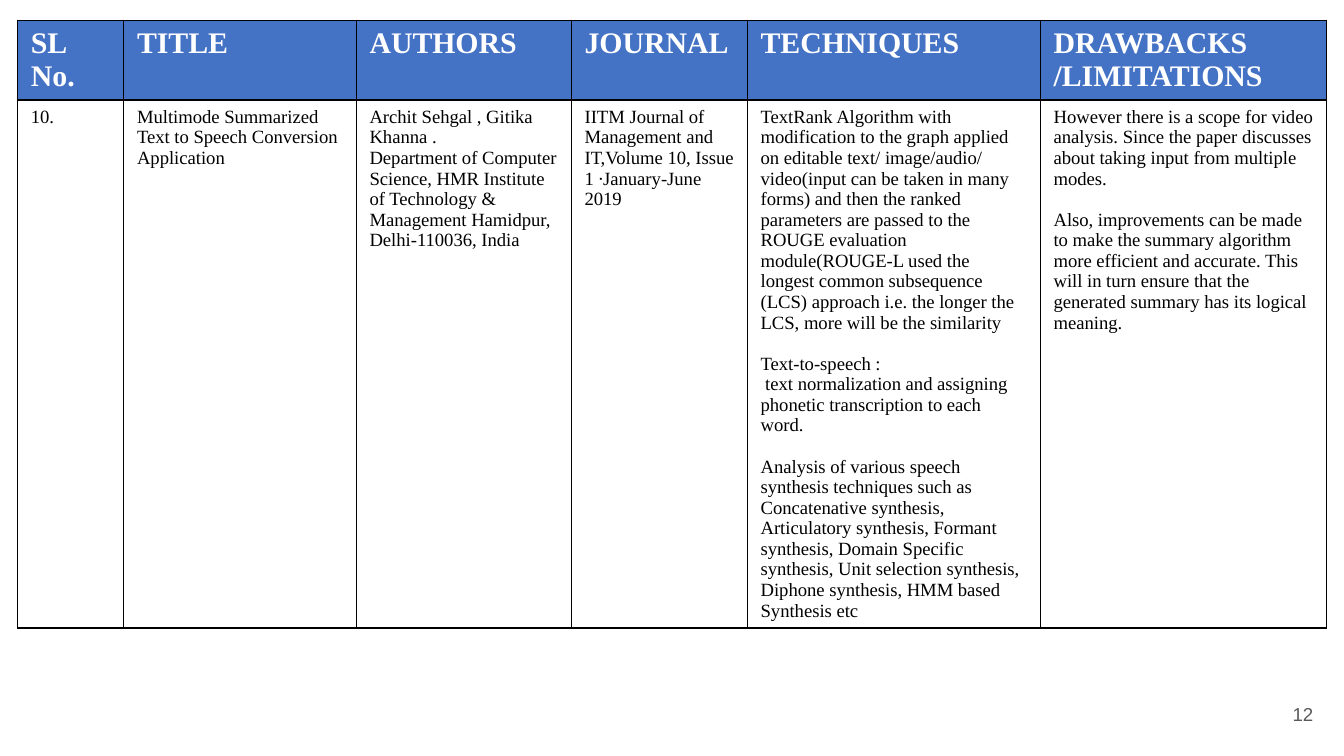
from lxml.etree import SubElement
from pptx import Presentation
from pptx.dml.color import RGBColor
from pptx.enum.text import MSO_ANCHOR, PP_ALIGN
from pptx.oxml.ns import qn
from pptx.util import Inches, Pt

COLUMN_WIDTHS = [0.79, 1.73, 1.6, 1.31, 2.18, 2.13]
ROW_HEIGHT = 0.41  # minimum; rows grow with their text

HEADINGS = ["SL No.", "TITLE", "AUTHORS", "JOURNAL", "TECHNIQUES",
            "DRAWBACKS /LIMITATIONS"]

# Each cell is a list of blocks, set apart by a gap; lines split a block
PAPER = [
    ["10."],
    ["Multimode Summarized Text to Speech Conversion Application"],
    ["Archit Sehgal , Gitika Khanna .\n"
     "Department of Computer Science, HMR Institute of Technology & "
     "Management Hamidpur, Delhi-110036, India"],
    ["IITM Journal of Management and IT,Volume 10, Issue 1 "
     "∙January-June 2019"],
    ["TextRank Algorithm with modification to the graph applied on editable "
     "text/ image/audio/ video(input can be taken in many forms) and then "
     "the ranked parameters are passed to the ROUGE evaluation "
     "module(ROUGE-L used the longest common subsequence (LCS) approach "
     "i.e. the longer the LCS, more will be the similarity",
     "Text-to-speech :\n"
     " text normalization and assigning phonetic transcription to each word.",
     "Analysis of various speech synthesis techniques such as Concatenative "
     "synthesis, Articulatory synthesis, Formant synthesis, Domain Specific "
     "synthesis, Unit selection synthesis, Diphone synthesis, HMM based "
     "Synthesis etc"],
    ["However there is a scope for video analysis. Since the paper discusses "
     "about taking input from multiple modes.",
     "Also, improvements can be made to make the summary algorithm more "
     "efficient and accurate. This will in turn ensure that the generated "
     "summary has its logical meaning."],
]


def color(value):
    return RGBColor.from_string(value)


class SurveySlide:
    table_font = "Times New Roman"
    number_font = "Arial"
    black, white, blue, grey = "000000", "FFFFFF", "4472C4", "595959"
    block_gap = 11

    def __init__(self, deck):
        self.page = deck.slides.add_slide(deck.slide_layouts[6])

    def format_runs(self, para, font, size, fill, bold=False):
        for span in para.runs:
            span.font.name = font
            span.font.size = Pt(size)
            span.font.bold = bold
            span.font.color.rgb = color(fill)

    def borders(self, cell):
        properties = cell._tc.get_or_add_tcPr()
        for side in ("lnL", "lnR", "lnT", "lnB"):
            line = SubElement(properties, qn(f"a:{side}"), w=str(Pt(0.75)))
            fill = SubElement(line, qn("a:solidFill"))
            SubElement(fill, qn("a:srgbClr"), val=self.black)

    def cell(self, cell, blocks, size, text_color, fill, bold):
        self.borders(cell)
        cell.fill.solid()
        cell.fill.fore_color.rgb = color(fill)
        cell.text_frame.text = "\n".join(blocks)
        paras = iter(cell.text_frame.paragraphs)
        for block_index, block in enumerate(blocks):
            for line_index, _ in enumerate(block.split("\n")):
                para = next(paras)
                if block_index and line_index == 0:
                    para.space_before = Pt(self.block_gap)
                self.format_runs(para, self.table_font, size, text_color, bold)

    def table(self, left, top, headings, paper):
        table = self.page.shapes.add_table(
            2, len(headings), Inches(left), Inches(top),
            Inches(sum(COLUMN_WIDTHS)), Inches(2 * ROW_HEIGHT)).table
        table.first_row = table.horz_banding = False
        for column, width in zip(table.columns, COLUMN_WIDTHS):
            column.width = Inches(width)
        for index, (heading, blocks) in enumerate(zip(headings, paper)):
            self.cell(table.cell(0, index), [heading], 16,
                      self.white, self.blue, True)
            self.cell(table.cell(1, index), blocks, 10,
                      self.black, self.white, False)

    def page_number(self, text, left, top, width, height):
        box = self.page.shapes.add_textbox(
            Inches(left), Inches(top), Inches(width), Inches(height))
        frame = box.text_frame
        frame.word_wrap = True
        frame.vertical_anchor = MSO_ANCHOR.MIDDLE
        frame.margin_left = frame.margin_right = Inches(0.1)
        frame.margin_top = frame.margin_bottom = Inches(0.1)
        frame.text = text
        para = frame.paragraphs[0]
        para.alignment = PP_ALIGN.RIGHT
        self.format_runs(para, self.number_font, 10, self.grey)


def main():
    # Widescreen page, 16 by 9
    deck = Presentation()
    deck.slide_width = Inches(10)
    deck.slide_height = deck.slide_width * 9 // 16
    slide = SurveySlide(deck)

    # Literature survey table
    slide.table(0.13, 0.15, HEADINGS, PAPER)

    # Page number
    slide.page_number("12", 9.27, 5.1, 0.6, 0.43)

    deck.save("out.pptx")


if __name__ == "__main__":
    main()
